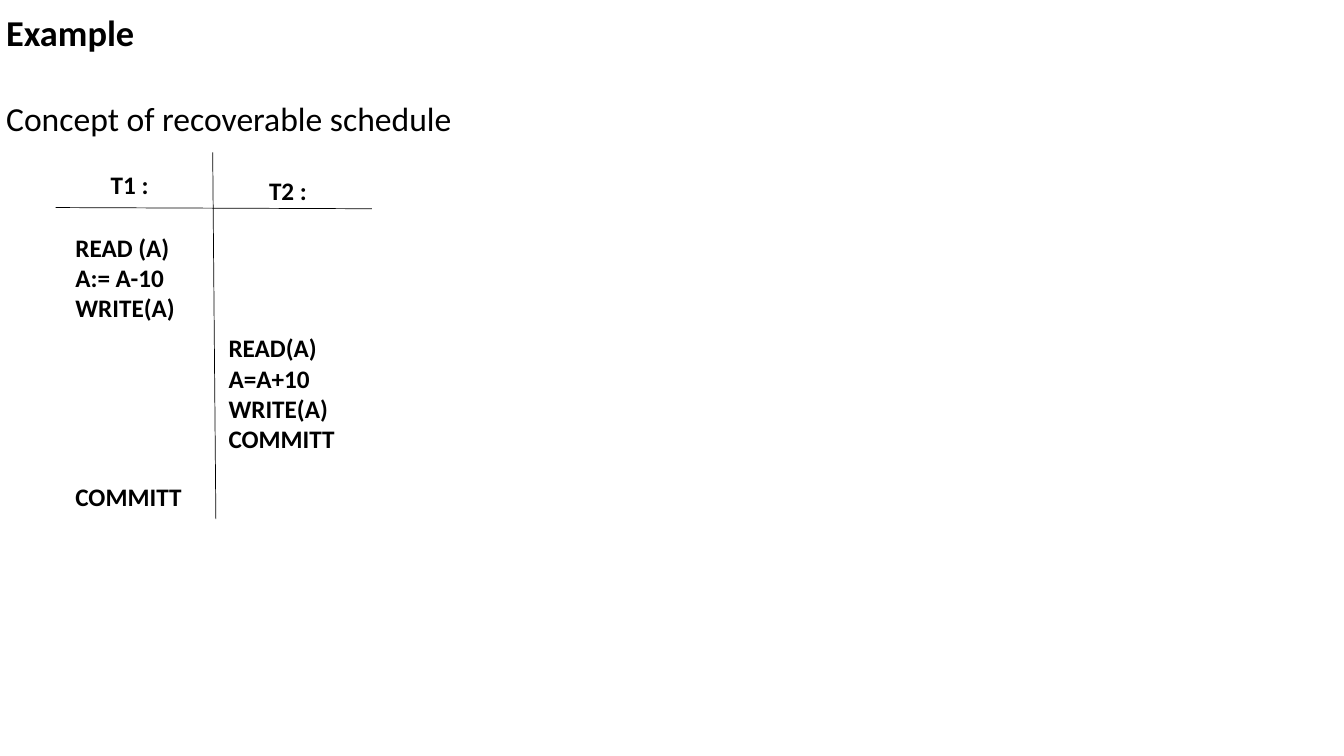
"""Build a slide showing a recoverable schedule of two transactions."""
from lxml import etree
from pptx import Presentation
from pptx.dml.color import RGBColor
from pptx.enum.shapes import MSO_CONNECTOR
from pptx.enum.text import MSO_ANCHOR, PP_ALIGN
from pptx.oxml.ns import qn
from pptx.util import Cm, Pt

STRAIGHT = MSO_CONNECTOR.STRAIGHT
TOP = MSO_ANCHOR.TOP
LEFT, CENTER = PP_ALIGN.LEFT, PP_ALIGN.CENTER


def color(value):
    return RGBColor.from_string(value)


def write(p, text, size, bold, align=LEFT):
    p.text = text
    p.alignment = align
    p.font.name = "Calibri"
    p.font.size = Pt(size)
    p.font.bold = bold
    p.font.color.rgb = color("000000")


prs = Presentation()
prs.slide_width, prs.slide_height = Cm(33.87), Cm(19.05)
s = prs.slides.add_slide(prs.slide_layouts[5])

title = s.shapes.title
title.left, title.top, title.width, title.height = Cm(-0.1), Cm(0.13), Cm(33.87), Cm(3.5)
tf = title.text_frame
tf.word_wrap = True
tf.vertical_anchor = TOP
write(tf.paragraphs[0], "Example", 26, True)
p = tf.add_paragraph()
write(p, "Concept of recoverable schedule", 24, False)
p.space_before = Pt(31.7)

rules = [
    (5.36, 3.84, 5.44, 13.08),
    (1.4, 5.23, 9.37, 5.26),
]
for ends in rules:
    line = s.shapes.add_connector(STRAIGHT, *map(Cm, ends))
    line.line.color.rgb = color("000000")
    line.line.width = Pt(0.5)
    etree.SubElement(line._element.spPr, qn("a:effectLst"))

blocks = [
    (1.42, 4.14, 3.84, 1.02, CENTER, ["T1 : "]),
    (5.41, 4.29, 3.84, 1.02, CENTER, ["T2 : "]),
    (1.65, 5.72, 6.17, 2.57, LEFT, ["READ (A)", "A:= A-10", "WRITE(A)"]),
    (5.51, 8.26, 3.45, 4.11, LEFT, ["READ(A)", "A=A+10", "WRITE(A)", "COMMITT"]),
    (1.65, 12.01, 6.17, 2.57, LEFT, ["COMMITT"]),
]
for x, y, w, h, align, steps in blocks:
    tf = s.shapes.add_textbox(Cm(x), Cm(y), Cm(w), Cm(h)).text_frame
    tf.word_wrap = True
    for i, step in enumerate(steps):
        p = tf.add_paragraph() if i else tf.paragraphs[0]
        write(p, step, 18, True, align)

prs.save("out.pptx")
